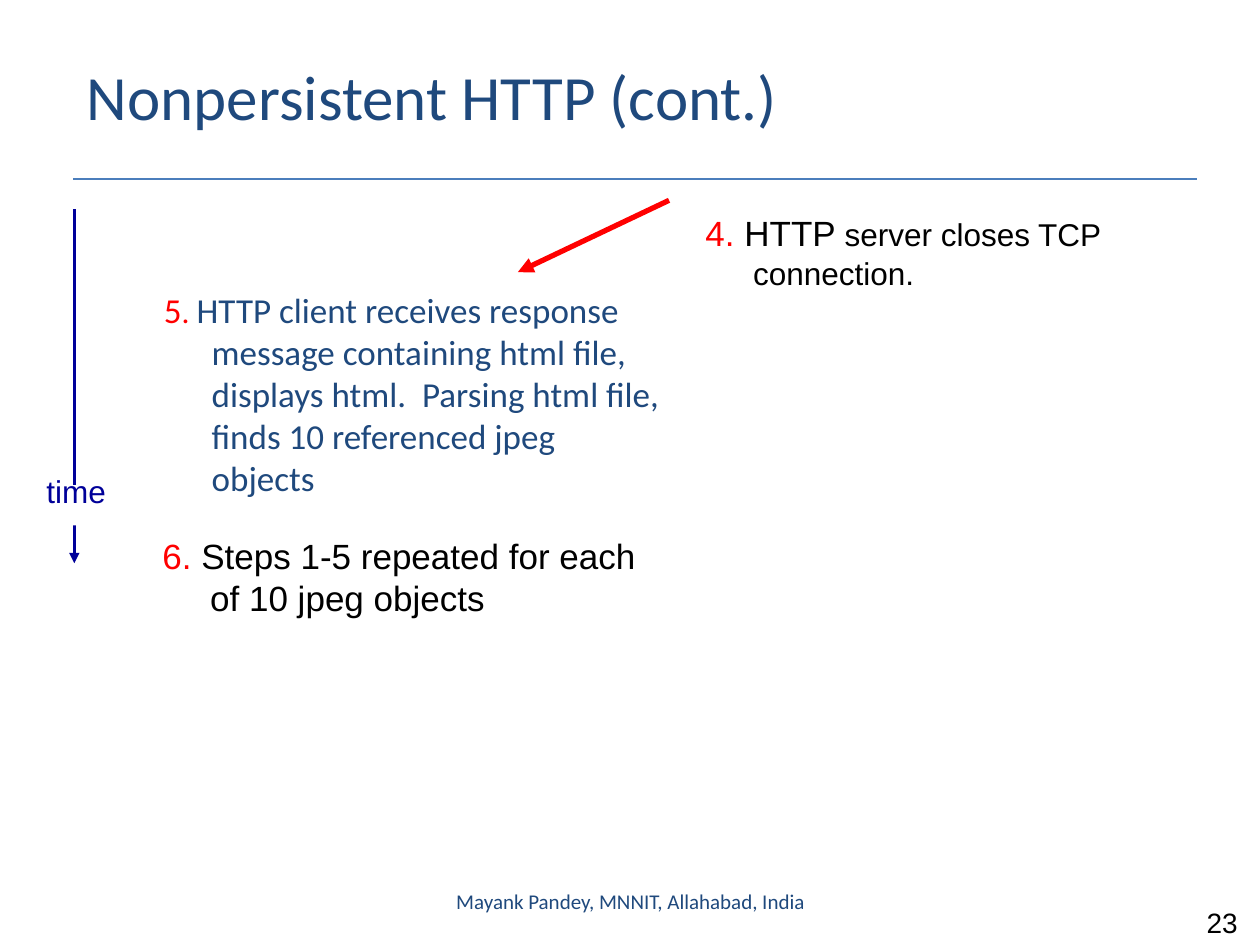
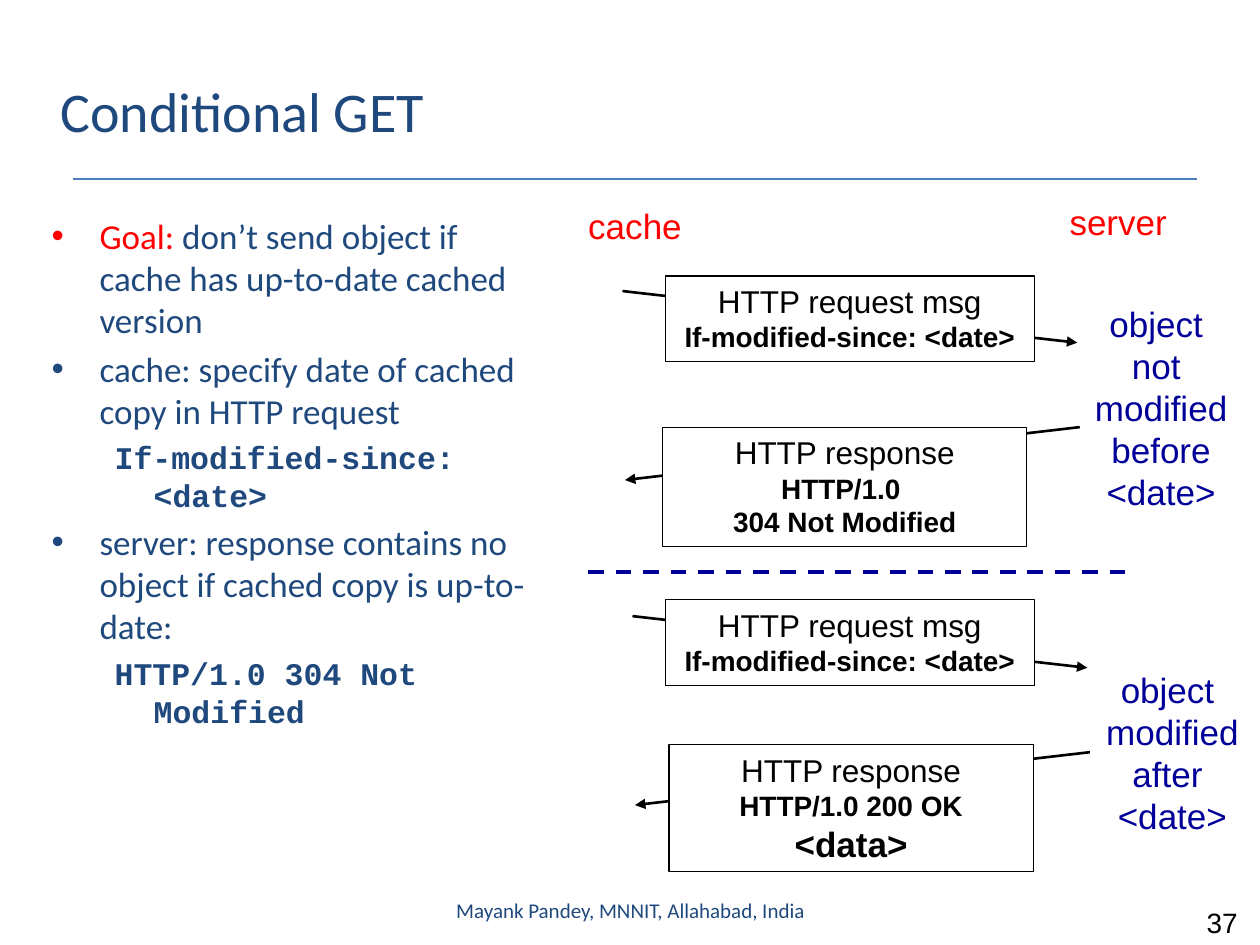
from lxml.etree import SubElement
from pptx import Presentation
from pptx.dml.color import RGBColor
from pptx.enum.dml import MSO_LINE as Dash
from pptx.enum.shapes import MSO_CONNECTOR as Conn, MSO_SHAPE as Shape
from pptx.enum.text import MSO_ANCHOR as Anchor, MSO_AUTO_SIZE as Auto, PP_ALIGN as Align
from pptx.oxml.ns import qn
from pptx.util import Pt

PX = 9144  # 100 px to the inch

BLACK = RGBColor(0x00, 0x00, 0x00)
WHITE = RGBColor(0xFF, 0xFF, 0xFF)
RED = RGBColor(0xFF, 0x00, 0x00)
NAVY = RGBColor(0x00, 0x00, 0x99)
INK = RGBColor(0x1F, 0x49, 0x7D)
RULE = RGBColor(0x4B, 0x7E, 0xBC)

SANS, BODY, MONO = "Arial", "Calibri", "Courier New"
CREDIT = "Mayank Pandey, MNNIT, Allahabad, India"
REQUEST = [("HTTP request msg", 18, False),
           ("If-modified-since: <date>", 16, True)]


def px(*nums):
    return [n * PX for n in nums]


def style(font, size=None, color=None, name=None, bold=None):
    if size:
        font.size = Pt(size)
    if color is not None:
        font.color.rgb = color
    if name:
        font.name = name
    if bold is not None:
        font.bold = bold


def write(para, runs, size, color, name=SANS, bold=False, align=Align.LEFT):
    """Fill a paragraph; runs is a string or a list of (text, own style)."""
    para.alignment = align
    style(para.font, size, color, name, bold)
    for text, own in [(runs, {})] if isinstance(runs, str) else runs:
        run = para.add_run()
        run.text = text
        style(run.font, **own)


def paras(frame, count):
    """Give the frame's paragraphs, making as many as needed."""
    return [frame.paragraphs[0]] + [frame.add_paragraph() for _ in range(count - 1)]


def hang(para, left, first, plain=False):
    """Set a hanging indent; plain drops the bullet."""
    props = para._p.get_or_add_pPr()
    props.set("marL", str(left * PX))
    props.set("indent", str(first * PX))
    if plain:
        SubElement(props, qn("a:buNone"))


def label(slide, box, lines, size, color, wrap=False, align=Align.CENTER,
          name=SANS, anchor=Anchor.TOP):
    frame = slide.shapes.add_textbox(*px(*box)).text_frame
    frame.word_wrap = wrap
    frame.vertical_anchor = anchor
    for para, line in zip(paras(frame, len(lines)), lines):
        write(para, line, size, color, name, align=align)
    return frame


def line(slide, start, end, color, width, arrow=False, dash=None):
    link = slide.shapes.add_connector(Conn.STRAIGHT, *px(*start, *end))
    link.line.color.rgb = color
    link.line.width = Pt(width)
    if dash:
        link.line.dash_style = dash
    props = link._element.spPr
    if arrow:
        SubElement(props.find(qn("a:ln")), qn("a:tailEnd"), type="triangle")
    SubElement(props, qn("a:effectLst"))


def panel(slide, box, rows=()):
    """White box; outlined when it holds rows of (text, size, bold)."""
    rect = slide.shapes.add_shape(Shape.RECTANGLE, *px(*box))
    rect.shadow.inherit = False
    rect.fill.solid()
    rect.fill.fore_color.rgb = WHITE
    if not rows:
        rect.line.fill.background()
        return
    rect.line.color.rgb = BLACK
    rect.line.width = Pt(0.75)
    frame = rect.text_frame
    frame.word_wrap = True
    frame.vertical_anchor = Anchor.TOP
    for para, (text, size, bold) in zip(paras(frame, len(rows)), rows):
        write(para, text, size, BLACK, bold=bold, align=Align.CENTER)


def place(holder, box, anchor):
    """Move a placeholder and give its text frame."""
    holder.left, holder.top, holder.width, holder.height = px(*box)
    frame = holder.text_frame
    frame.word_wrap = True
    frame.auto_size = Auto.NONE
    frame.vertical_anchor = anchor
    return frame


def base(deck, title, box, size, page, foot):
    """Add a slide with title, rule, page number and footer; give it and its body."""
    slide = deck.slides.add_slide(deck.slide_layouts[1])
    line(slide, (58, 142), (950, 142), RULE, 0.75)
    head = place(slide.shapes.title, box, Anchor.MIDDLE)
    write(head.paragraphs[0], title, size, INK, BODY)
    label(slide, (833, 714, 159, 31), [page], 16, BLACK, True, Align.RIGHT)
    label(slide, (342, foot, 317, 40), [CREDIT], 12, INK, True,
          name=BODY, anchor=Anchor.MIDDLE)
    return slide, slide.placeholders[1]


def step(slide, box, runs):
    frame = label(slide, box, [runs], 20, BLACK, True, Align.LEFT)
    hang(frame.paragraphs[0], 38, -38)


def clock(slide, x, y):
    """Time axis running down from its top end."""
    line(slide, (x, y), (x, y + 281), NAVY, 1.5, True)
    panel(slide, (x - 26, y + 219, 38, 32))
    label(slide, (x - 43, y + 204, 89, 50), ["time"], 18, NAVY)


def steps(deck):
    slide, body = base(deck, "Nonpersistent HTTP (cont.)", (59, 28, 850, 95), 36, "23", 695)
    para = place(body, (120, 224, 417, 168), Anchor.TOP).paragraphs[0]
    hang(para, 38, -38, True)
    para.space_before = Pt(0)
    write(para, [("5", dict(color=RED)), (". ", dict(color=RED, size=18)),
                 ("HTTP client receives response message containing html file, "
                  "displays html.  Parsing html file, finds 10 referenced jpeg  objects", {})],
          20, INK, BODY)
    step(slide, (119, 419, 417, 73),
         [("6.", dict(color=RED)), (" Steps 1-5 repeated for each of 10 jpeg objects", {})])
    step(slide, (550, 163, 417, 80),
         [("4.", dict(color=RED)), (" HTTP", {}),
          (" server closes TCP connection.", dict(size=18))])
    clock(slide, 59, 166)
    line(slide, (531, 159), (411, 216), RED, 3, True)


def goals(body):
    rows = [([("Goal:", dict(color=RED)),
              (" don’t send object if cache has up-to-date cached version", {})], False),
            ("cache: specify date of cached copy in HTTP request", False),
            ("If-modified-since: <date>", True),
            ("server: response contains no object if cached copy is up-to-date:", False),
            ("HTTP/1.0 304 Not Modified", True)]
    frame = place(body, (31, 165, 409, 471), Anchor.TOP)
    for i, (para, (runs, code)) in enumerate(zip(paras(frame, len(rows)), rows)):
        if code:
            para.level = 1
            hang(para, 81, -31, True)
            write(para, runs, 18, INK, MONO, True)
        else:
            hang(para, 38, -38)
            write(para, runs, 20, INK, BODY)
        para.space_before = Pt(4 if i else 0)


def trade(slide, x, y, ask, reply, rows, note, words):
    """One request and its response; boxes are relative to the request's start."""
    def at(box):
        return (x + box[0], y + box[1], *box[2:])

    line(slide, (x, y), (x + 361, y + 41), BLACK, 1.5, True)
    panel(slide, at(ask), REQUEST)
    line(slide, (x + 363, y + 108), (x + 2, y + 150), BLACK, 1.5, True)
    panel(slide, at(reply), [("HTTP response", 18, False)] + rows)
    label(slide, at(note), words, 20, NAVY)


def lookup(deck):
    slide, body = base(deck, "Conditional GET", (38, 25, 871, 125), 32, "37", 702)
    goals(body)
    label(slide, (457, 157, 94, 43), ["cache"], 20, RED)
    label(slide, (839, 154, 97, 43), ["server"], 20, RED)
    trade(slide, 494, 231, (34, -12, 293, 68), (32, 108, 289, 95),
          [("HTTP/1.0 ", 16, True), ("304 Not Modified", 16, True)],
          (365, 4, 125, 177), ["object ", "not ", "modified", "before", "<date>"])
    line(slide, (467, 454), (894, 454), NAVY, 2.25, dash=Dash.DASH)
    trade(slide, 502, 489, (26, -13, 293, 68), (29, 102, 289, 101),
          [("HTTP/1.0 200 OK", 16, True), ("<data>", 20, True)],
          (366, 37, 125, 143), ["object ", "modified", "after ", "<date>"])


def main():
    deck = Presentation()
    deck.slide_width, deck.slide_height = px(1000, 750)
    steps(deck)
    lookup(deck)
    deck.save("out.pptx")


if __name__ == "__main__":
    main()
